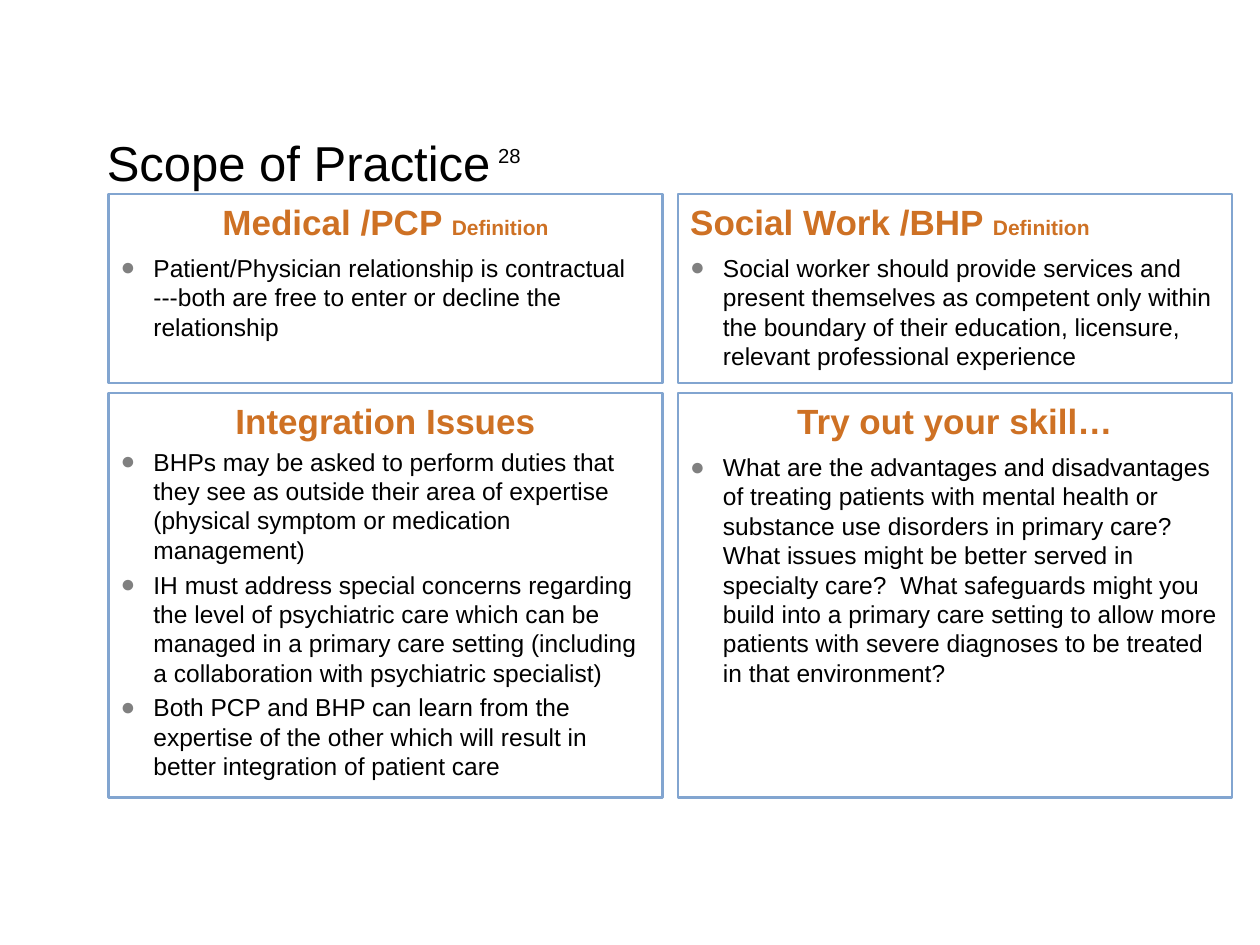
from lxml import etree
from pptx import Presentation
from pptx.dml.color import RGBColor
from pptx.enum import shapes, text
from pptx.oxml import ns
from pptx.util import Inches, Pt


def color(value):
    return RGBColor.from_string(value)


def add_text(paragraph, words, size=14, fill="000000", bold=False, baseline=None):
    run = paragraph.add_run()
    run.text = words
    run.font.name = "Arial"
    run.font.size = Pt(size)
    run.font.bold = bold
    run.font.color.rgb = color(fill)
    if baseline:
        run.font._element.set("baseline", str(baseline))


CENTER, LEFT = text.PP_ALIGN.CENTER, text.PP_ALIGN.LEFT
ORANGE = "CE7124"
lefts = [0.86, 5.38]
rows = [(1.54, 1.5), (3.12, 3.21)]
panels = [
    ("Medical /PCP ", "Definition", CENTER, 6, [
        "Patient/Physician relationship is contractual ---both are free to enter or decline the relationship",
    ]),
    ("Social Work /BHP ", "Definition", LEFT, 6, [
        "Social worker should provide services and present themselves as competent only within the boundary "
        "of their education, licensure, relevant professional experience",
    ]),
    ("Integration Issues", "", CENTER, 3, [
        "BHPs may be asked to perform duties that they see as outside their area of expertise "
        "(physical symptom or medication management)",
        "IH must address special concerns regarding the level of psychiatric care which can be managed "
        "in a primary care setting (including a collaboration with psychiatric specialist)",
        "Both PCP and BHP can learn from the expertise of the other which will result in better "
        "integration of patient care",
    ]),
    ("Try out your skill…", "", CENTER, 6, [
        "What are the advantages and disadvantages of treating patients with mental health or substance use "
        "disorders in primary care?  What issues might be better served in specialty care?  What safeguards "
        "might you build into a primary care setting to allow more patients with severe diagnoses to be "
        "treated in that environment?",
    ]),
]

presentation = Presentation()
presentation.slide_width = Inches(10)
presentation.slide_height = Inches(7.5)
slide = presentation.slides.add_slide(presentation.slide_layouts[6])

title = slide.shapes.add_textbox(Inches(0.75), Inches(1), Inches(8.75), Inches(0.92))
title.text_frame.word_wrap = True
title.text_frame.margin_top = Inches(0.05)
paragraph = title.text_frame.paragraphs[0]
add_text(paragraph, "Scope of Practice", size=28)
add_text(paragraph, " ", size=16)
add_text(paragraph, "28", size=20, baseline=50000)

for index, (heading, suffix, alignment, gap, points) in enumerate(panels):
    top, height = rows[index // 2]
    shape = slide.shapes.add_shape(
        shapes.MSO_SHAPE.RECTANGLE,
        Inches(lefts[index % 2]), Inches(top), Inches(4.4), Inches(height))
    shape.shadow.inherit = False
    shape.fill.background()
    shape.line.color.rgb = color("82A5D0")
    shape.line.width = Pt(1.5)
    frame = shape.text_frame
    frame.word_wrap = True
    frame.vertical_anchor = text.MSO_ANCHOR.TOP
    frame.margin_top = Inches(0.05)

    paragraph = frame.paragraphs[0]
    paragraph.alignment = alignment
    add_text(paragraph, heading, size=20, fill=ORANGE, bold=True)
    if suffix:
        add_text(paragraph, suffix, size=12, fill=ORANGE, bold=True)

    for point in points:
        paragraph = frame.add_paragraph()
        paragraph.alignment = LEFT
        paragraph.space_before = Pt(gap)
        properties = paragraph._p.get_or_add_pPr()
        properties.set("marL", str(Inches(0.26)))
        properties.set("indent", str(-Inches(0.26)))
        bullet_color = etree.SubElement(properties, ns.qn("a:buClr"))
        etree.SubElement(bullet_color, ns.qn("a:srgbClr"), val="808080")
        etree.SubElement(properties, ns.qn("a:buFont"), typeface="Arial")
        etree.SubElement(properties, ns.qn("a:buChar"), char="●")
        add_text(paragraph, point)

presentation.save("out.pptx")
